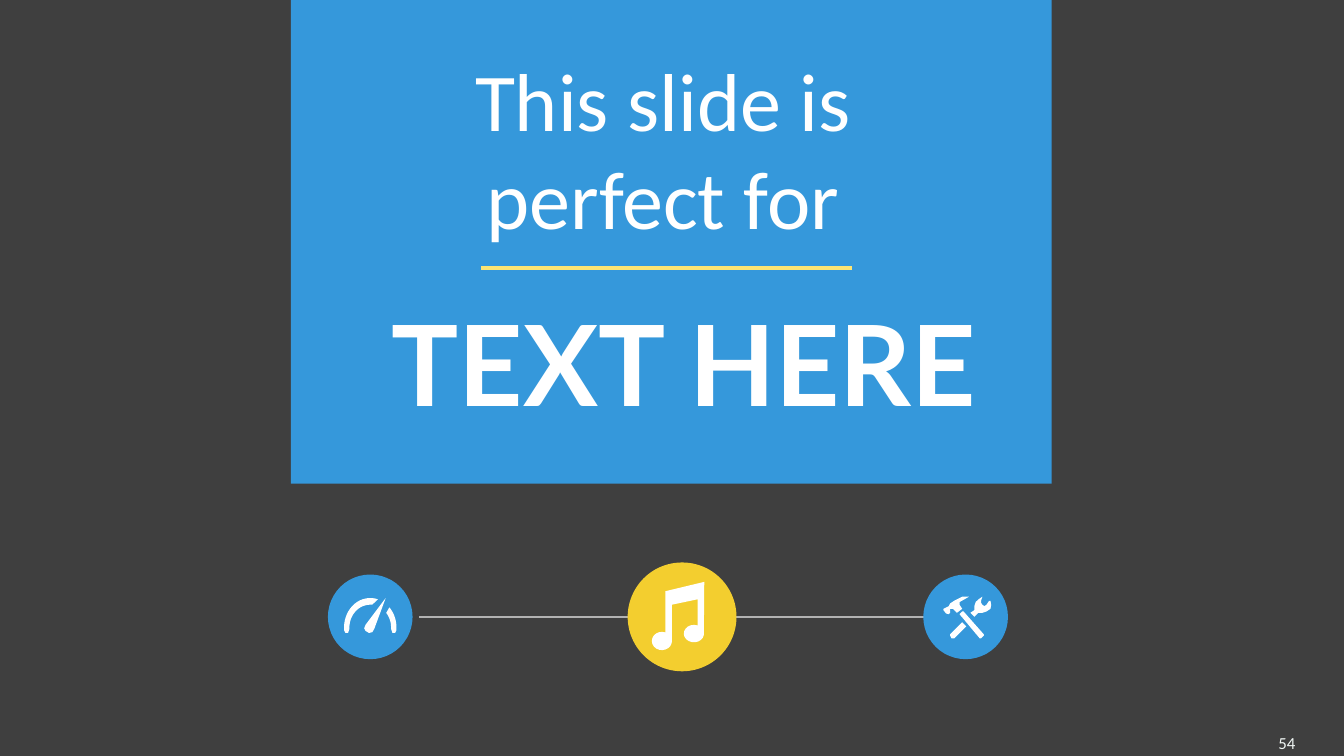
from dataclasses import dataclass
from math import cos, radians, sin

from pptx import Presentation, util as u
from pptx.dml.color import RGBColor
from pptx.enum import shapes, text
from pptx.oxml.ns import qn

Point = tuple[float, float]
Contour = list[Point]
CELL = u.Inches(0.1)  # the slide is a grid of 100 columns by 56.25 rows
COLUMNS, ROWS = 100, 56.25


@dataclass(frozen=True)
class Theme:
    background: str = "3F3F3F"
    blue: str = "3598DB"
    yellow: str = "F3CE2F"
    rule: str = "FDE573"
    link: str = "B2B2B2"
    white: str = "FFFFFF"
    number: str = "F0F6F4"
    body: str = "Calibri"
    display: str = "Lato"
    headline_size: float = 60
    lead_size: float = 44
    number_size: float = 9


@dataclass(frozen=True)
class Area:
    column: float
    row: float
    columns: float
    rows: float

    def emu(self) -> list[int]:
        return [cells(n) for n in (self.column, self.row, self.columns, self.rows)]


@dataclass(frozen=True)
class Badge:
    column: float  # centre
    diameter: float
    color: str
    icon: list[Contour]


def cells(count: float) -> int:
    return round(count * CELL)


def arc(center: Point, radii: Point, start: int, end: int, steps: int = 16) -> Contour:
    """Points along an ellipse; angles in degrees, clockwise from the right."""
    angles = [radians(start + (end - start) * i / steps) for i in range(steps + 1)]
    return [(center[0] + radii[0] * cos(a), center[1] + radii[1] * sin(a)) for a in angles]


def paint(shape, color: str | None) -> None:
    shape.shadow.inherit = False
    shape.line.fill.background()
    if color:
        shape.fill.solid()
        shape.fill.fore_color.rgb = RGBColor.from_string(color)
    else:
        shape.fill.background()


def add_block(page, kind, area: Area, color: str | None = None):
    shape = page.shapes.add_shape(kind, *area.emu())
    paint(shape, color)
    return shape


def add_line(page, start: float, end: float, row: float, color: str, width: float) -> None:
    line = page.shapes.add_connector(
        shapes.MSO_CONNECTOR.STRAIGHT, cells(start), cells(row), cells(end), cells(row))
    line.line.color.rgb = RGBColor.from_string(color)
    line.line.width = u.Pt(width)
    properties = line._element.spPr
    properties.append(properties.makeelement(qn("a:effectLst"), {}))


def write(box, words: str, *, size: float, font: str, color: str, bold: bool = False) -> None:
    frame = box.text_frame
    frame.word_wrap = True
    frame.vertical_anchor = text.MSO_ANCHOR.MIDDLE
    para = frame.paragraphs[0]
    para.alignment = text.PP_ALIGN.CENTER
    span = para.add_run()
    span.text = words
    span.font.size = u.Pt(size)
    span.font.name = font
    span.font.bold = bold
    span.font.color.rgb = RGBColor.from_string(color)


def add_icon(page, contours: list[Contour], color: str) -> None:
    outlines = [[(cells(x), cells(y)) for x, y in contour] for contour in contours]
    builder = page.shapes.build_freeform(*outlines[0][0])
    for index, (first, *rest) in enumerate(outlines):
        if index:
            builder.move_to(*first)
        builder.add_line_segments(rest, close=True)
    paint(builder.convert_to_shape(), color)


def add_badge(page, badge: Badge, row: float, icon_color: str) -> None:
    size = badge.diameter
    area = Area(badge.column - size / 2, row - size / 2, size, size)
    add_block(page, shapes.MSO_SHAPE.OVAL, area, badge.color)
    add_icon(page, badge.icon, icon_color)


DIAL, OUTER, INNER = (27.55, 46.7), (1.95, 2.2), (1.55, 1.7)
GAUGE = [
    [*arc(DIAL, OUTER, 180, 287), (27.7, 45), *arc(DIAL, INNER, 270, 180),
     (26, 46.8), (25.9, 47.1), (25.7, 47.1), (25.6, 46.9)],
    [*arc(DIAL, OUTER, -43, 0), (29.5, 46.9), (29.4, 47.1), (29.2, 47.1),
     (29.1, 46.8), *arc(DIAL, INNER, 0, -40)],
    [(28.7, 44.5), (27.85, 46.8), (27.7, 47.05), (27.45, 47.1), (27.2, 46.95),
     (27.1, 46.75), (27.2, 46.5)],
]
NOTE = [
    [(49.5, 44), (52.4, 43.3), *arc((51.63, 47.15), (0.75, 0.65), -10, 290),
     (51.9, 46.6), (51.9, 44.6), (50, 45),
     *arc((49.25, 47.7), (0.75, 0.68), -5, 290), (49.5, 47.1)],
]
TOOLS = [
    [(70.7, 45.3), (70.9, 45.3), (71.2, 45.6), (71.6, 45.3), (71.4, 45),
     (71.4, 44.8), (72.1, 44.4), (71.6, 44.4), (71, 44.7), (70.7, 44.9),
     (70.6, 45.1), (70.4, 45.2), (70.2, 45.3), (70.2, 45.4), (70.4, 45.65),
     (70.6, 45.7), (70.7, 45.6)],
    [(71.7, 45.5), (71.6, 45.5), (71.4, 45.7), (72.9, 47.5), (73, 47.5),
     (73.2, 47.3), (73.2, 47.2)],
    [(73.7, 44.7), (73.6, 44.7), (73.4, 45), (73.25, 45.1), (73.1, 45),
     (73, 44.85), (73, 44.7), (73.1, 44.4), (72.8, 44.6), (72.6, 44.8),
     (72.5, 45.1), (72.5, 45.4), (72.2, 45.6), (72.5, 45.9), (72.8, 45.6),
     (73.1, 45.6), (73.4, 45.5), (73.7, 45.3), (73.75, 45)],
    [(70.7, 47.2), (70.7, 47.3), (70.8, 47.5), (71, 47.5), (71.9, 46.6),
     (71.6, 46.3)],
]


def main() -> None:
    theme = Theme()
    deck = Presentation()
    deck.slide_width, deck.slide_height = cells(COLUMNS), cells(ROWS)
    page = deck.slides.add_slide(deck.slide_layouts[6])
    page.background.fill.solid()
    page.background.fill.fore_color.rgb = RGBColor.from_string(theme.background)

    number = add_block(page, shapes.MSO_SHAPE.OVAL, Area(91.8, 53.3, 7.9, 3.9))
    frame = number.text_frame
    frame.margin_left = frame.margin_right = u.Inches(0.07)
    frame.margin_top = frame.margin_bottom = u.Inches(0.04)
    write(number, "54", size=theme.number_size, font=theme.body, color=theme.number)

    badge_row = 45.9
    for start, end in ((31.2, 46.7), (54.7, 70.2)):
        add_line(page, start, end, badge_row, theme.link, 0.75)

    add_block(page, shapes.MSO_SHAPE.RECTANGLE, Area(21.65, -0.3, 56.6, 36.3), theme.blue)
    headline = page.shapes.add_textbox(*Area(25.6, 20.7, 50.6, 12.4).emu())
    write(headline, "TEXT HERE", size=theme.headline_size, font=theme.display,
          color=theme.white, bold=True)
    add_line(page, 35.8, 63.4, 19.95, theme.rule, 2.25)
    lead = page.shapes.add_textbox(*Area(26.2, 4.8, 46.3, 12.4).emu())
    write(lead, "This slide is perfect for", size=theme.lead_size, font=theme.body,
          color=theme.white)

    for badge in (
        Badge(27.55, 6.3, theme.blue, GAUGE),
        Badge(50.75, 8.1, theme.yellow, NOTE),
        Badge(71.85, 6.3, theme.blue, TOOLS),
    ):
        add_badge(page, badge, badge_row, theme.white)

    deck.save("out.pptx")


if __name__ == "__main__":
    main()
